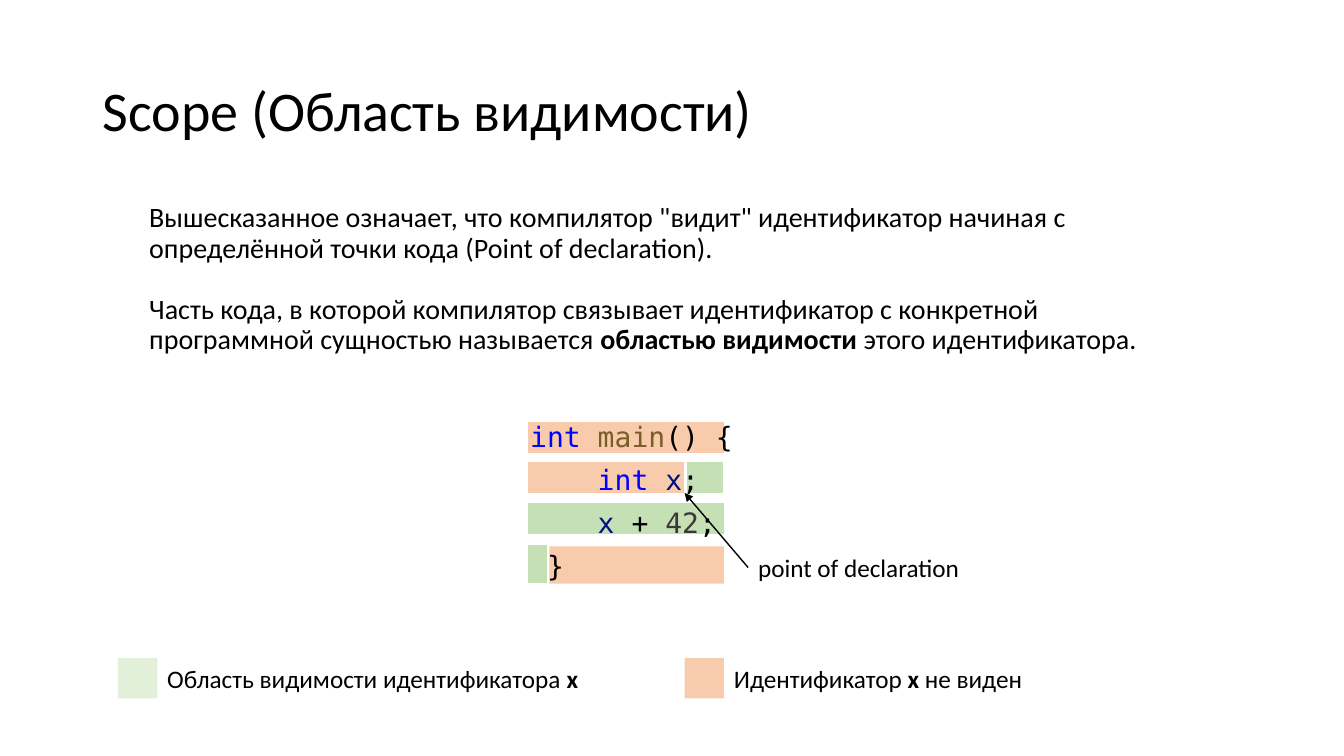
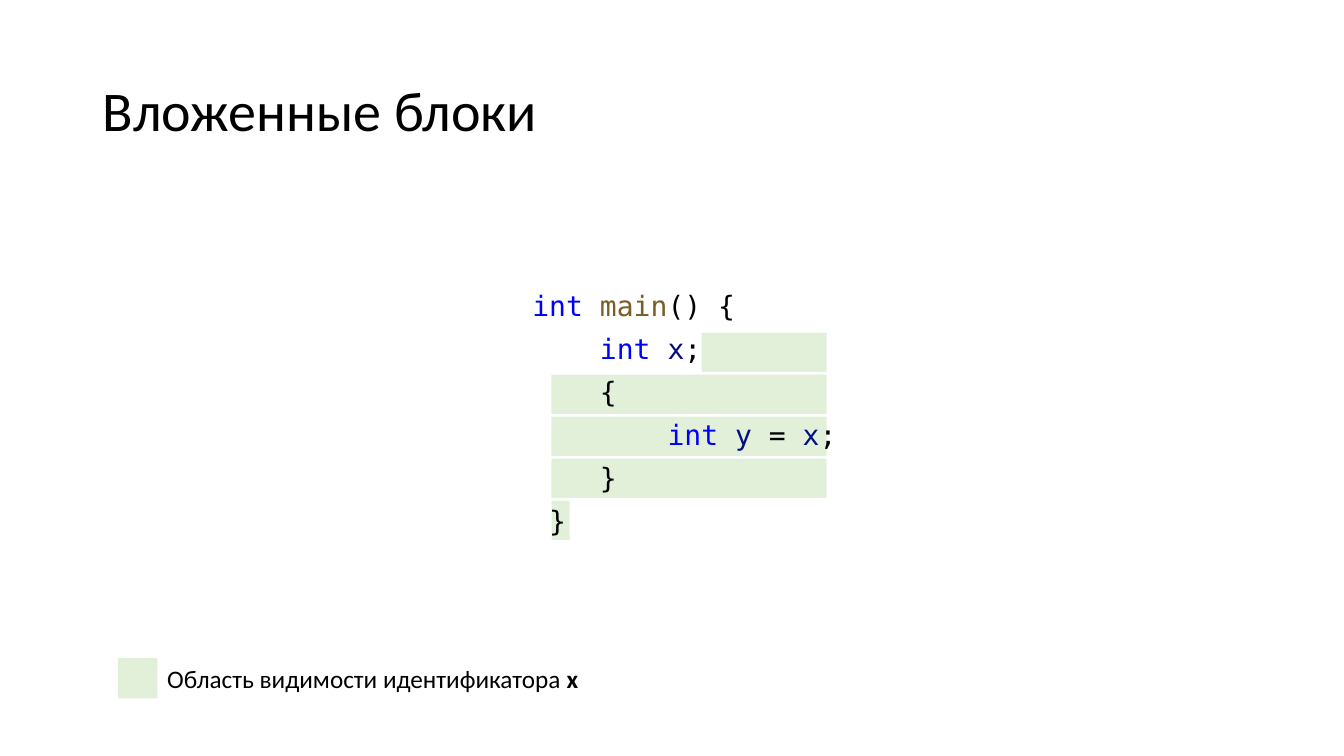
from dataclasses import dataclass
from itertools import groupby
from typing import Sequence

from lxml import etree
from pptx import Presentation
from pptx.dml.color import RGBColor as RGB
from pptx.enum.shapes import MSO_CONNECTOR as Conn, MSO_SHAPE as Shape
from pptx.enum.text import MSO_ANCHOR as Anchor, MSO_AUTO_SIZE as AutoSize, PP_ALIGN as Align
from pptx.oxml.ns import qn
from pptx.util import Inches, Pt


@dataclass(frozen=True)
class Theme:
    font: str = "Calibri"
    mono: str = "DejaVu Sans Mono"
    title_size: int = 40
    body_size: int = 20
    label_size: int = 18
    ink: str = "000000"
    paper: str = "FFFFFF"
    keyword: str = "0000FF"
    function: str = "795E26"
    variable: str = "001080"
    number: str = "3B3838"
    visible: str = "C5E0B4"
    visible_pale: str = "E2F0D9"
    hidden: str = "F8CBAD"


T = Theme()
TOKEN_COLORS = {"int": T.keyword, "main": T.function, "x": T.variable, "y": T.variable, "42": T.number}
CODE_PITCH = 5 / 12
LEGEND_TOP = 6.53


@dataclass(frozen=True)
class Box:
    left: float
    top: float
    width: float
    height: float

    def emu(self) -> tuple:
        return tuple(Inches(v) for v in (self.left, self.top, self.width, self.height))


@dataclass(frozen=True)
class Span:
    text: str
    bold: bool = False
    color: str = T.ink


@dataclass(frozen=True)
class Band:
    box: Box
    color: str
    outlined: bool = False


@dataclass(frozen=True)
class LegendItem:
    left: float
    text_width: float
    color: str
    spans: Sequence[Span]


TITLE_BOX = Box(0.92, 0.4, 11.5, 1.45)
VISIBLE_ITEM = LegendItem(1.17, 4.32, T.visible_pale,
                          [Span("Область видимости идентификатора "), Span("x", True)])
HIDDEN_ITEM = LegendItem(6.79, 3.09, T.hidden,
                         [Span("Идентификатор "), Span("x", True), Span(" не виден")])


def write_spans(p, spans: Sequence[Span], size: int, font: str = T.font) -> None:
    for span in spans:
        r = p.add_run()
        r.text = span.text
        r.font.name, r.font.size, r.font.bold = font, Pt(size), span.bold
        r.font.color.rgb = RGB.from_string(span.color)


def write_paragraphs(tf, lines: Sequence[Sequence[Span]], size: int, font: str = T.font,
                     gap: float = 0, spacing: float = 1.0) -> None:
    for i, spans in enumerate(lines):
        p = tf.paragraphs[0] if i == 0 else tf.add_paragraph()
        pPr = p._p.get_or_add_pPr()
        pPr.set("marL", "0")
        pPr.set("indent", "0")
        etree.SubElement(pPr, qn("a:buNone"))
        p.alignment = Align.LEFT
        p.line_spacing = spacing
        p.space_before = Pt(gap if i else 0)
        p.space_after = Pt(0)
        write_spans(p, spans, size, font)


def code_spans(line: str) -> list[Span]:
    tokens = ("".join(chars) for _, chars in groupby(line, str.isalnum))
    return [Span(token, color=TOKEN_COLORS.get(token, T.ink)) for token in tokens]


def write_code(tf, code: Sequence[str]) -> None:
    write_paragraphs(tf, [code_spans(line) for line in code], T.body_size, T.mono, gap=6.7)


def place(sp, box: Box, anchor: Anchor):
    sp.left, sp.top, sp.width, sp.height = box.emu()
    tf = sp.text_frame
    tf.word_wrap = True
    tf.auto_size = AutoSize.NONE
    tf.vertical_anchor = anchor
    return tf


def add_slide(prs, title: str):
    s = prs.slides.add_slide(prs.slide_layouts[1])
    tf = place(s.shapes.title, TITLE_BOX, Anchor.MIDDLE)
    write_paragraphs(tf, [[Span(title)]], T.title_size, spacing=0.9)
    return s


def add_body(s, box: Box):
    sp = s.placeholders[1]
    sp._element.getparent().append(sp._element)
    return place(sp, box, Anchor.TOP)


def add_band(s, band: Band) -> None:
    sp = s.shapes.add_shape(Shape.RECTANGLE, *band.box.emu())
    sp.shadow.inherit = False
    sp.fill.solid()
    sp.fill.fore_color.rgb = RGB.from_string(band.color)
    if band.outlined:
        sp.line.color.rgb = RGB.from_string(T.paper)
        sp.line.width = Pt(1.5)
    else:
        sp.line.fill.background()


def add_label(s, box: Box, spans: Sequence[Span]) -> None:
    tf = s.shapes.add_textbox(*box.emu()).text_frame
    tf.word_wrap = False
    tf.auto_size = AutoSize.SHAPE_TO_FIT_TEXT
    write_spans(tf.paragraphs[0], spans, T.label_size)


def add_legend(s, item: LegendItem) -> None:
    swatch = Box(item.left, LEGEND_TOP, 0.39, 0.4)
    add_band(s, Band(swatch, item.color))
    add_label(s, Box(item.left + swatch.width, LEGEND_TOP, item.text_width, 0.4), item.spans)


def add_arrow(s, x1: float, y1: float, x2: float, y2: float) -> None:
    line = s.shapes.add_connector(Conn.STRAIGHT, *(Inches(v) for v in (x1, y1, x2, y2)))
    line.line.color.rgb = RGB.from_string(T.ink)
    line.line.width = Pt(1)
    etree.SubElement(line.line._get_or_add_ln(), qn("a:tailEnd"), type="triangle")
    etree.SubElement(line._element.spPr, qn("a:effectLst"))


def scope_slide(prs) -> None:
    s = add_slide(prs, "Scope (Область видимости)")
    write_paragraphs(add_body(s, Box(1.38, 1.97, 10.67, 4.76)), [
        [Span('Вышесказанное означает, что компилятор "видит" идентификатор начиная с '
              "определённой точки кода (Point of declaration).")],
        [Span("Часть кода, в которой компилятор связывает идентификатор с конкретной "
              "программной сущностью называется "),
         Span("областью видимости ", True), Span("этого идентификатора.")],
    ], T.body_size, gap=22, spacing=0.9)
    for band in (
        Band(Box(5.45, 5.42, 1.73, 0.37), T.hidden),
        Band(Box(5.23, 4.18, 1.96, 0.33), T.hidden, True),
        Band(Box(5.23, 4.57, 1.57, 0.33), T.hidden, True),
        Band(Box(6.8, 4.57, 0.38, 0.33), T.visible, True),
        Band(Box(5.23, 4.98, 1.96, 0.33), T.visible, True),
        Band(Box(5.23, 5.4, 0.21, 0.39), T.visible, True),
    ):
        add_band(s, band)
    tf = s.shapes.add_textbox(*Box(5.16, 4.11, 2.5, 2.13).emu()).text_frame
    tf.word_wrap = True
    write_code(tf, ["int main() {", "    int x;", "    x + 42;", " }"])
    for item in (VISIBLE_ITEM, HIDDEN_ITEM):
        add_legend(s, item)
    add_label(s, Box(7.42, 5.43, 2.22, 0.4), [Span("point of declaration")])
    add_arrow(s, 7.42, 5.63, 6.79, 4.89)


def nested_blocks_slide(prs) -> None:
    s = add_slide(prs, "Вложенные блоки")
    left, right = 5.47, 8.2
    extents = [(6.96, right), (left, right), (left, right), (left, right), (left, 5.65)]
    for row, (start, end) in enumerate(extents):
        box = Box(start, 3.3 + row * CODE_PITCH, end - start, 0.39)
        add_band(s, Band(box, T.visible_pale))
    write_code(add_body(s, Box(5.18, 2.81, 6.05, 3.48)), [
        "int main() {", "    int x;", "    {", "        int y = x;", "    }", " }"])
    add_legend(s, VISIBLE_ITEM)


def main() -> None:
    prs = Presentation()
    prs.slide_width, prs.slide_height = Inches(13.33), Inches(7.5)
    scope_slide(prs)
    nested_blocks_slide(prs)
    prs.save("out.pptx")


if __name__ == "__main__":
    main()
